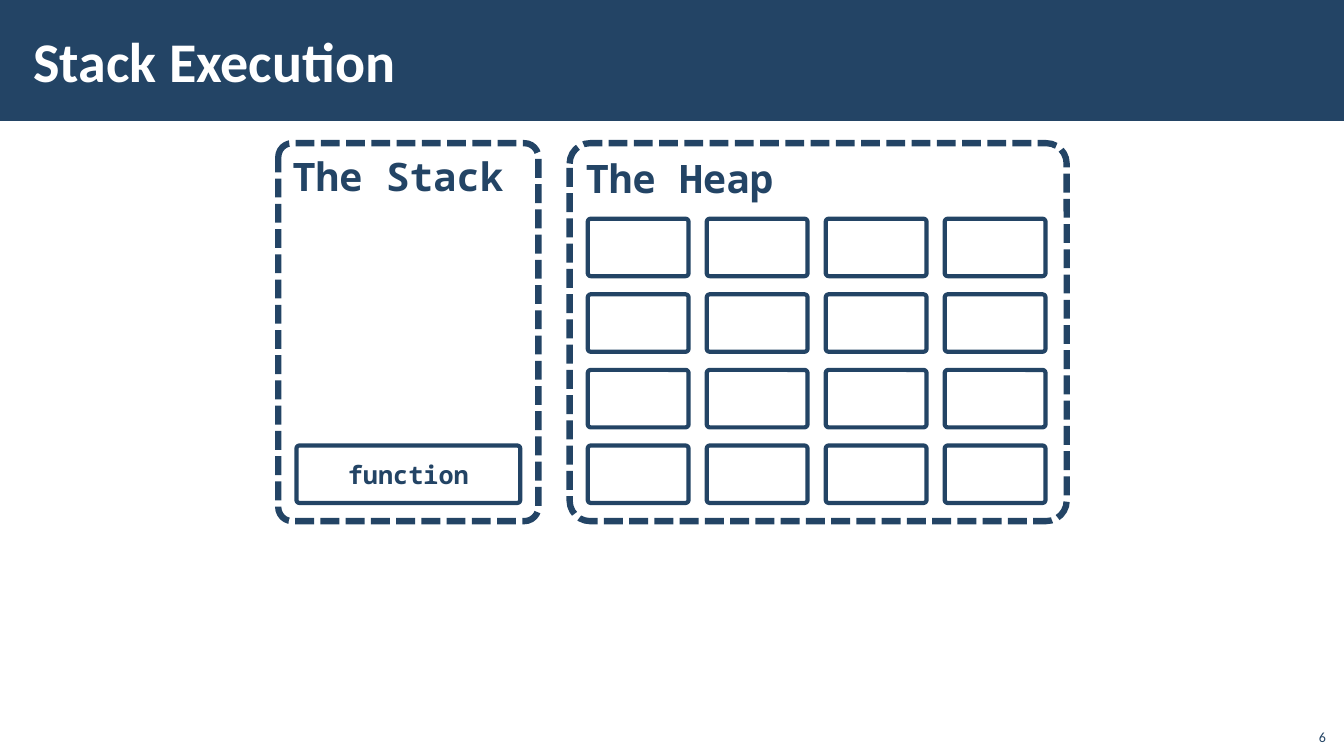
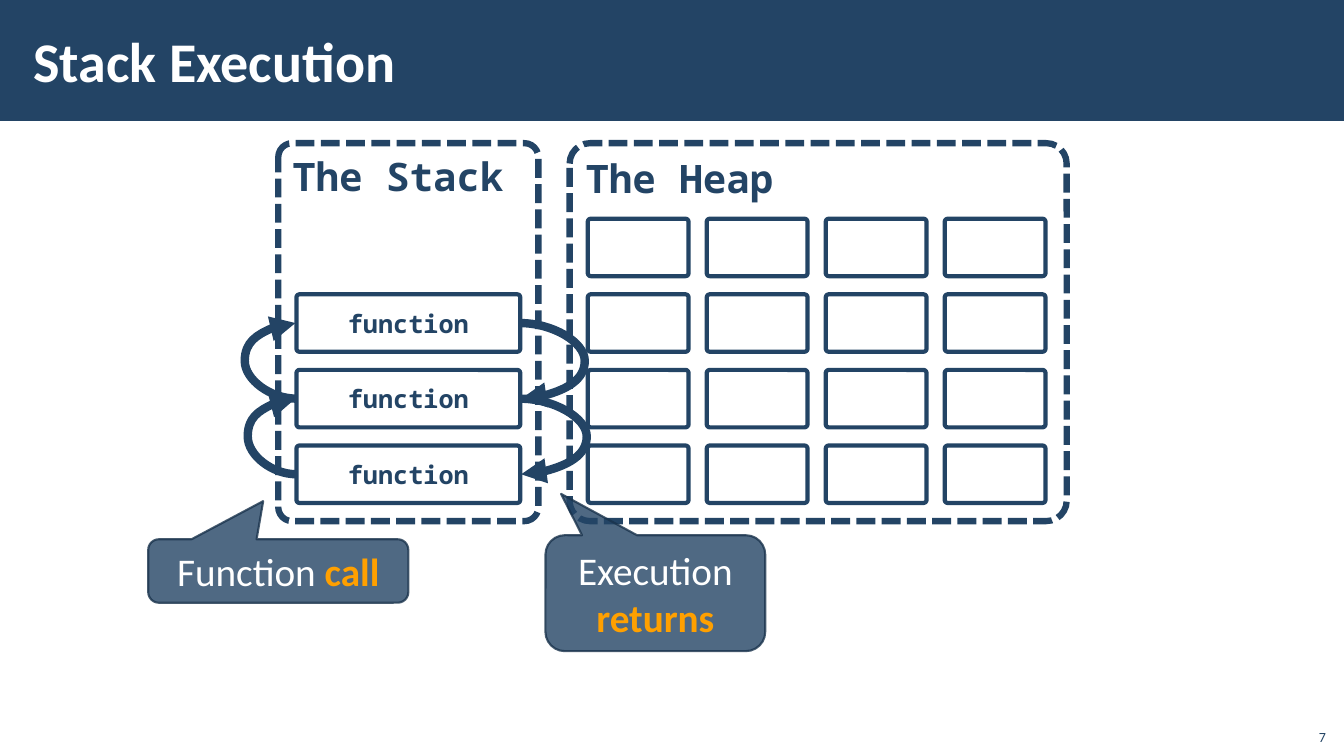
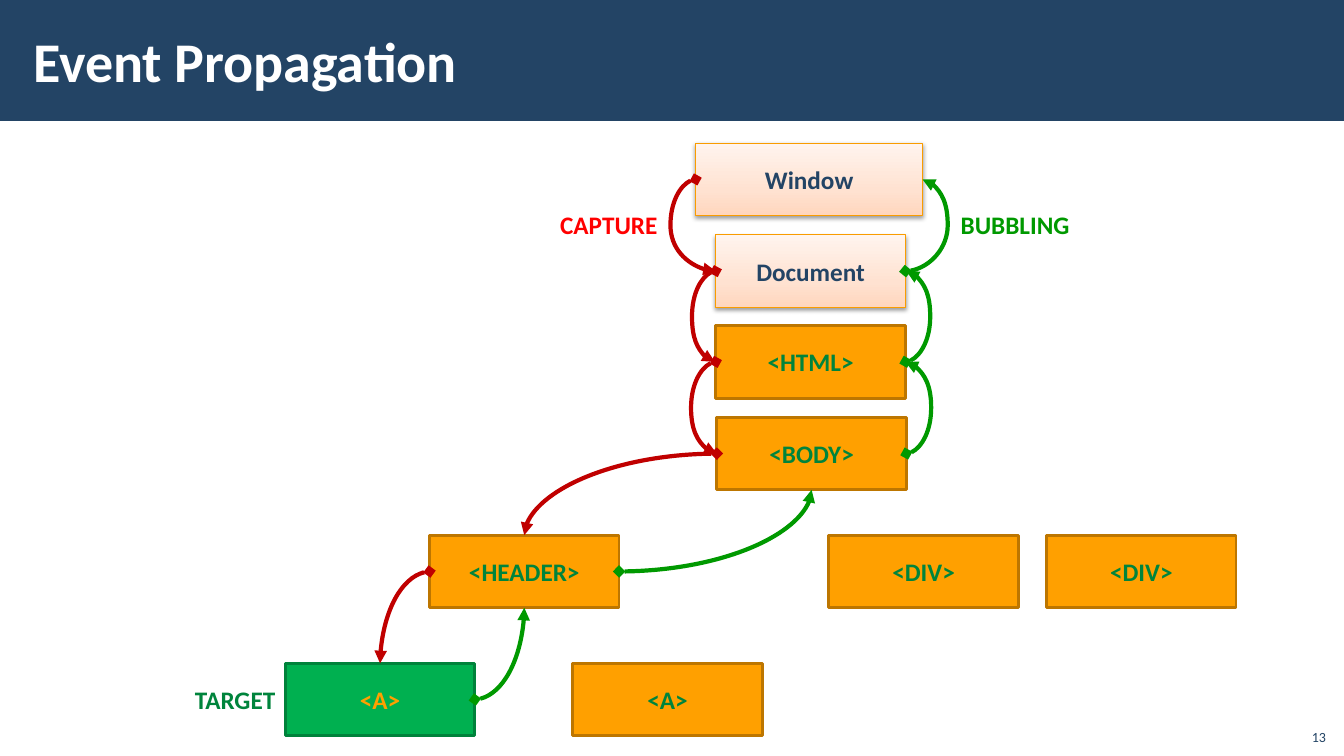
import pptx
import pptx.util
import pptx.dml.color
import pptx.enum.dml
import pptx.enum.shapes
import pptx.enum.text
import pptx.oxml
import pptx.oxml.ns
from lxml import etree

# Shared look
NAVY, WHITE, ORANGE, GREEN = "234465", "FFFFFF", "FFA000", "00843C"
CAPTURE_RED, BUBBLE_GREEN = "C00000", "009900"
SANS, MONO = "Calibri", "Noto Sans Mono"
WIDTH, HEIGHT, BAND_HEIGHT = 13.33, 7.5, 1.2
SHAPE = pptx.enum.shapes.MSO_SHAPE
ALIGN = pptx.enum.text.PP_ALIGN
ANCHOR = pptx.enum.text.MSO_ANCHOR
TOP, LEFT, BOTTOM, RIGHT = range(4)

# Memory diagram: (title, pages, functions on the stack)
MEMORY_SLIDES = [("6", 1), ("7", 3)]
STACK_FRAME, HEAP_FRAME = (2.76, 1.42, 2.58, 3.75), (5.65, 1.42, 4.93, 3.75)
STACK_LEFT, FUNCTION_WIDTH = 2.94, 2.22
HEAP_LEFT, CELL_WIDTH, COLUMN_STEP = 5.83, 1, 1.18
ROWS, COLUMNS, ROW_TOP, ROW_STEP, CELL_HEIGHT = 4, 4, 2.17, 0.75, 0.57
CALL_BENDS, RETURN_BENDS = [2.45, 2.42], [5.83, 5.81]  # bottom pair first
CALLOUTS = [
    ((1.47, 5.35, 2.58, 0.63), (-0.058, -1.1, 0.167), "Function ", "call"),
    ((5.41, 5.31, 2.18, 1.15), (-0.429, -0.857, 0.167), "Execution ", "returns"),
]

# Event tree: name -> (label, left, top, width, style)
NODE_WIDTH, NODE_HEIGHT = 1.88, 0.72
NODES = {
    "window": ("Window", 6.9, 1.42, 2.25, "root"),
    "document": ("Document", 7.1, 2.33, NODE_WIDTH, "root"),
    "html": ("<HTML>", 7.1, 3.23, NODE_WIDTH, "tag"),
    "body": ("<BODY>", 7.11, 4.14, NODE_WIDTH, "tag"),
    "header": ("<HEADER>", 4.26, 5.31, NODE_WIDTH, "tag"),
    "first div": ("<DIV>", 8.22, 5.31, NODE_WIDTH, "tag"),
    "second div": ("<DIV>", 10.38, 5.31, NODE_WIDTH, "tag"),
    "target": ("<A>", 2.83, 6.58, NODE_WIDTH, "target"),
    "other link": ("<A>", 5.68, 6.58, NODE_WIDTH, "tag"),
}
# Style -> (fill, line, line width, text)
NODE_STYLES = {
    "root": (None, "F99C00", 0.75, NAVY),
    "tag": (ORANGE, "BD7600", 2, GREEN),
    "target": ("00B050", "00823B", 2, ORANGE),
}
# (from, side, to, side, x of the bend or None for a quarter turn)
CAPTURE_PATH = [
    ("window", LEFT, "document", LEFT, 6.65),
    ("document", LEFT, "html", LEFT, 6.86),
    ("html", LEFT, "body", LEFT, 6.85),
    ("body", LEFT, "header", TOP, None),
    ("header", LEFT, "target", TOP, None),
]
BUBBLE_PATH = [
    ("target", RIGHT, "header", BOTTOM, None),
    ("header", RIGHT, "body", BOTTOM, None),
    ("body", RIGHT, "html", RIGHT, 9.24),
    ("html", RIGHT, "document", RIGHT, 9.23),
    ("document", RIGHT, "window", RIGHT, 9.4),
]
LABELS = [
    ("CAPTURE", 4.86, 2.03, "FF0000", ALIGN.RIGHT),
    ("TARGET", 1.07, 6.74, GREEN, ALIGN.RIGHT),
    ("BUBBLING", 9.43, 2.03, BUBBLE_GREEN, ALIGN.LEFT),
]


def inches(*values):
    return [pptx.util.Inches(value) for value in values]


def rgb(color):
    return pptx.dml.color.RGBColor.from_string(color)


def drawing(markup):
    return pptx.oxml.parse_xml(markup.replace(">", " %s>" % pptx.oxml.ns.nsdecls("a"), 1))


def child(parent, tag, **attributes):
    element = etree.SubElement(parent, pptx.oxml.ns.qn(tag))
    for name, value in attributes.items():
        element.set(name, value)
    return element


def format_run(run, size, color, bold=True, font=SANS):
    run.font.name, run.font.bold = font, bold
    run.font.size = pptx.util.Pt(size)
    run.font.color.rgb = rgb(color)


def write(shape, text, size, color, align=ALIGN.CENTER, anchor=ANCHOR.MIDDLE,
          bold=True, font=SANS):
    frame = shape.text_frame
    frame.text = text
    frame.word_wrap = True
    frame.vertical_anchor = anchor
    frame.paragraphs[0].alignment = align
    format_run(frame.paragraphs[0].runs[0], size, color, bold, font)


def add_box(slide, kind, box, fill=None, line=None, width=3):
    shape = slide.shapes.add_shape(kind, *inches(*box))
    shape.shadow.inherit = False
    if fill:
        shape.fill.solid()
        shape.fill.fore_color.rgb = rgb(fill)
    else:
        shape.fill.background()
    if line:
        shape.line.color.rgb = rgb(line)
        shape.line.width = pptx.util.Pt(width)
    else:
        shape.line.fill.background()
    return shape


def add_text(slide, box, *args, **options):
    write(slide.shapes.add_textbox(*inches(*box)), *args, **options)


def add_curve(slide, start, start_side, end, end_side, bend, color, width, head=None):
    connector = slide.shapes.add_connector(
        pptx.enum.shapes.MSO_CONNECTOR.CURVE, 0, 0, 0, 0)
    connector.begin_connect(start, start_side)
    connector.end_connect(end, end_side)
    geometry = connector._element.spPr.find(pptx.oxml.ns.qn("a:prstGeom"))
    if bend is None:
        geometry.set("prst", "curvedConnector2")
    else:
        # The bend is a share of the width, so the width must not be zero
        bend = pptx.util.Inches(bend)
        if connector.begin_x == connector.end_x:
            step = pptx.util.Inches(0.01)
            connector.end_x += step if bend > connector.begin_x else -step
        share = (bend - connector.begin_x) / (connector.end_x - connector.begin_x)
        guides = geometry.find(pptx.oxml.ns.qn("a:avLst"))
        if guides is None:
            guides = child(geometry, "a:avLst")
        child(guides, "a:gd", name="adj1", fmla="val %d" % round(share * 100000))
    connector.line.color.rgb = rgb(color)
    connector.line.width = pptx.util.Pt(width)
    line = connector.line._get_or_add_ln()
    if head:
        child(line, "a:headEnd", type=head)
    child(line, "a:tailEnd", type="triangle")
    child(connector._element.spPr, "a:effectLst")


def add_page(presentation, layout, title, number):
    slide = presentation.slides.add_slide(layout)
    shape = slide.shapes.title
    shape.left, shape.top, shape.width, shape.height = inches(0.21, 0.11, 10.63, 0.97)
    write(shape, title, 40, WHITE, ALIGN.LEFT)
    frame = shape.text_frame
    frame.auto_size = pptx.enum.text.MSO_AUTO_SIZE.NONE
    frame.margin_left = frame.margin_right = pptx.util.Inches(0.12)
    frame.margin_top = frame.margin_bottom = pptx.util.Inches(0.04)
    add_text(slide, (12.85, 7.12, 0.4, 0.32), number, 10, NAVY, ALIGN.RIGHT,
             ANCHOR.BOTTOM, bold=False)
    return slide


def add_band(slide, layout):
    band = add_box(slide, SHAPE.RECTANGLE, (0, 0, WIDTH, BAND_HEIGHT), NAVY)
    layout.shapes._spTree.insert(2, band._element)


def add_region(slide, box, heading):
    region = add_box(slide, SHAPE.ROUNDED_RECTANGLE, box, None, NAVY, 4.5)
    region.adjustments[0] = 0.054
    region.line.dash_style = pptx.enum.dml.MSO_LINE.SQUARE_DOT
    write(region, heading, 28, NAVY, ALIGN.LEFT, ANCHOR.TOP, font=MONO)


def add_cell(slide, left, row, width):
    cell = add_box(slide, SHAPE.ROUNDED_RECTANGLE,
                   (left, ROW_TOP + row * ROW_STEP, width, CELL_HEIGHT), None, NAVY)
    cell.adjustments[0] = 0.053
    return cell


def add_callout(slide, box, adjustments, text, strong):
    callout = add_box(slide, SHAPE.ROUNDED_RECTANGULAR_CALLOUT, box, NAVY, "1A334C", 1.5)
    for index, value in enumerate(adjustments):
        callout.adjustments[index] = value
    for color in callout._element.spPr.iter(pptx.oxml.ns.qn("a:srgbClr")):
        child(color, "a:alpha", val="80000")
    write(callout, text, 28, WHITE, bold=False)
    run = callout.text_frame.paragraphs[0].add_run()
    run.text = strong
    format_run(run, 28, ORANGE)
    callout.text_frame.margin_left = callout.text_frame.margin_right = pptx.util.Inches(0.2)


def draw_memory(slide, depth):
    add_region(slide, STACK_FRAME, "The Stack")
    add_region(slide, HEAP_FRAME, "The Heap")
    for row in range(ROWS):
        for column in range(COLUMNS):
            add_cell(slide, HEAP_LEFT + column * COLUMN_STEP, row, CELL_WIDTH)
    functions = [add_cell(slide, STACK_LEFT, ROWS - 1 - level, FUNCTION_WIDTH)
                 for level in range(depth)]
    for function in functions:
        write(function, "function", 18, NAVY, font=MONO)
    if depth == 1:
        return
    for callout in CALLOUTS:
        add_callout(slide, *callout)
    pairs = zip(functions, functions[1:], CALL_BENDS, RETURN_BENDS)
    for caller, callee, call_bend, return_bend in pairs:
        add_curve(slide, caller, LEFT, callee, LEFT, call_bend, NAVY, 6)
        add_curve(slide, callee, RIGHT, caller, RIGHT, return_bend, NAVY, 6)


def add_glow(shape):
    """Peach gradient and soft shadow of the root nodes."""
    properties = shape._element.spPr
    stops = "".join('<a:gs pos="%d"><a:srgbClr val="%s"/></a:gs>' % (share * 1000, color)
                    for share, color in [(0, "FFD6BD"), (35, "FFE2D1"), (100, "FFF4EE")])
    gradient = drawing('<a:gradFill rotWithShape="1"><a:gsLst>' + stops
                       + '</a:gsLst><a:lin ang="16200000" scaled="0"/></a:gradFill>')
    properties.replace(properties.find(pptx.oxml.ns.qn("a:noFill")), gradient)
    shadow = child(properties.find(pptx.oxml.ns.qn("a:effectLst")), "a:outerShdw",
                   blurRad="40000", dist="20000", dir="5400000", rotWithShape="0")
    child(child(shadow, "a:srgbClr", val="000000"), "a:alpha", val="38000")


def draw_events(slide):
    nodes = {}
    for name, (label, left, top, width, style) in NODES.items():
        fill, line, line_width, color = NODE_STYLES[style]
        node = add_box(slide, SHAPE.RECTANGLE, (left, top, width, NODE_HEIGHT),
                       fill, line, line_width)
        if style == "root":
            add_glow(node)
        write(node, label, 18, color)
        nodes[name] = node
    for path, color in [(CAPTURE_PATH, CAPTURE_RED), (BUBBLE_PATH, BUBBLE_GREEN)]:
        for start, start_side, end, end_side, bend in path:
            add_curve(slide, nodes[start], start_side, nodes[end], end_side,
                      bend, color, 3, "diamond")
    for text, left, top, color, align in LABELS:
        add_text(slide, (left, top, 1.76, 0.4), text, 18, color, align, ANCHOR.TOP)


def main():
    presentation = pptx.Presentation()
    presentation.slide_width, presentation.slide_height = inches(WIDTH, HEIGHT)
    layout = presentation.slide_layouts[5]

    # Stack slides
    for number, depth in MEMORY_SLIDES:
        slide = add_page(presentation, layout, "Stack Execution", number)
        draw_memory(slide, depth)

    # Event slide
    slide = add_page(presentation, layout, "Event Propagation", "13")
    draw_events(slide)

    add_band(slide, layout)
    presentation.save("out.pptx")


if __name__ == "__main__":
    main()
